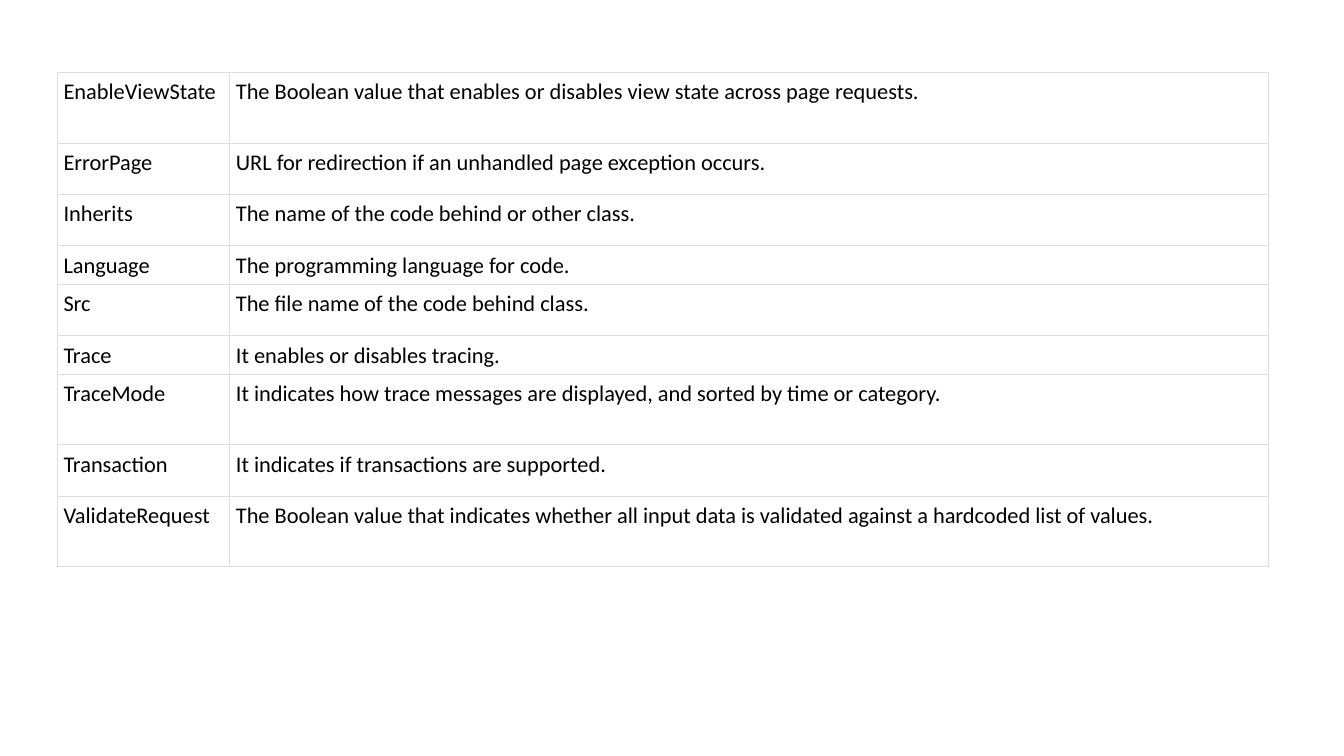
import pptx
import pptx.dml.color
import pptx.oxml.ns
import pptx.util
from lxml import etree

Inches = pptx.util.Inches
Pt = pptx.util.Pt
COLORS = {"text": "000000", "border": "DDDDDD"}
SHORT, MEDIUM, TALL = 0.31, 0.51, 0.7

# Attribute, description, row height
attributes = [
    ("EnableViewState", "The Boolean value that enables or disables view state across page requests.", TALL),
    ("ErrorPage", "URL for redirection if an unhandled page exception occurs.", MEDIUM),
    ("Inherits", "The name of the code behind or other class.", MEDIUM),
    ("Language", "The programming language for code.", SHORT),
    ("Src", "The file name of the code behind class.", MEDIUM),
    ("Trace", "It enables or disables tracing.", SHORT),
    ("TraceMode", "It indicates how trace messages are displayed, and sorted by time or category.", TALL),
    ("Transaction", "It indicates if transactions are supported.", MEDIUM),
    ("ValidateRequest", "The Boolean value that indicates whether all input data is validated "
     "against a hardcoded list of values.", TALL),
]


def add_borders(cell):
    properties = cell._tc.get_or_add_tcPr()
    for side in ("a:lnL", "a:lnR", "a:lnT", "a:lnB"):
        line = etree.SubElement(properties, pptx.oxml.ns.qn(side), w=str(Pt(0.75)))
        fill = etree.SubElement(line, pptx.oxml.ns.qn("a:solidFill"))
        etree.SubElement(fill, pptx.oxml.ns.qn("a:srgbClr"), val=COLORS["border"])


presentation = pptx.Presentation()
presentation.slide_width = Inches(13.33)
presentation.slide_height = Inches(7.5)
slide = presentation.slides.add_slide(presentation.slide_layouts[6])

# Table of page directive attributes
table_height = sum(height for _, _, height in attributes)
table = slide.shapes.add_table(
    len(attributes), 2, Inches(0.57), Inches(0.72), Inches(12.01), Inches(table_height)
).table
table.first_row = False
table.horz_banding = False
table.columns[0].width = Inches(1.71)
table.columns[1].width = Inches(10.3)

for row, (name, description, height) in zip(table.rows, attributes):
    row.height = Inches(height)
    for cell, text in zip(row.cells, (name, description)):
        cell.margin_left = cell.margin_right = cell.margin_top = Inches(0.06)
        cell.margin_bottom = Inches(0.05)
        add_borders(cell)
        cell.fill.background()
        cell.text_frame.text = text
        font = cell.text_frame.paragraphs[0].runs[0].font
        font.name = "Calibri"
        font.size = Pt(16)
        font.color.rgb = pptx.dml.color.RGBColor.from_string(COLORS["text"])

presentation.save("out.pptx")
